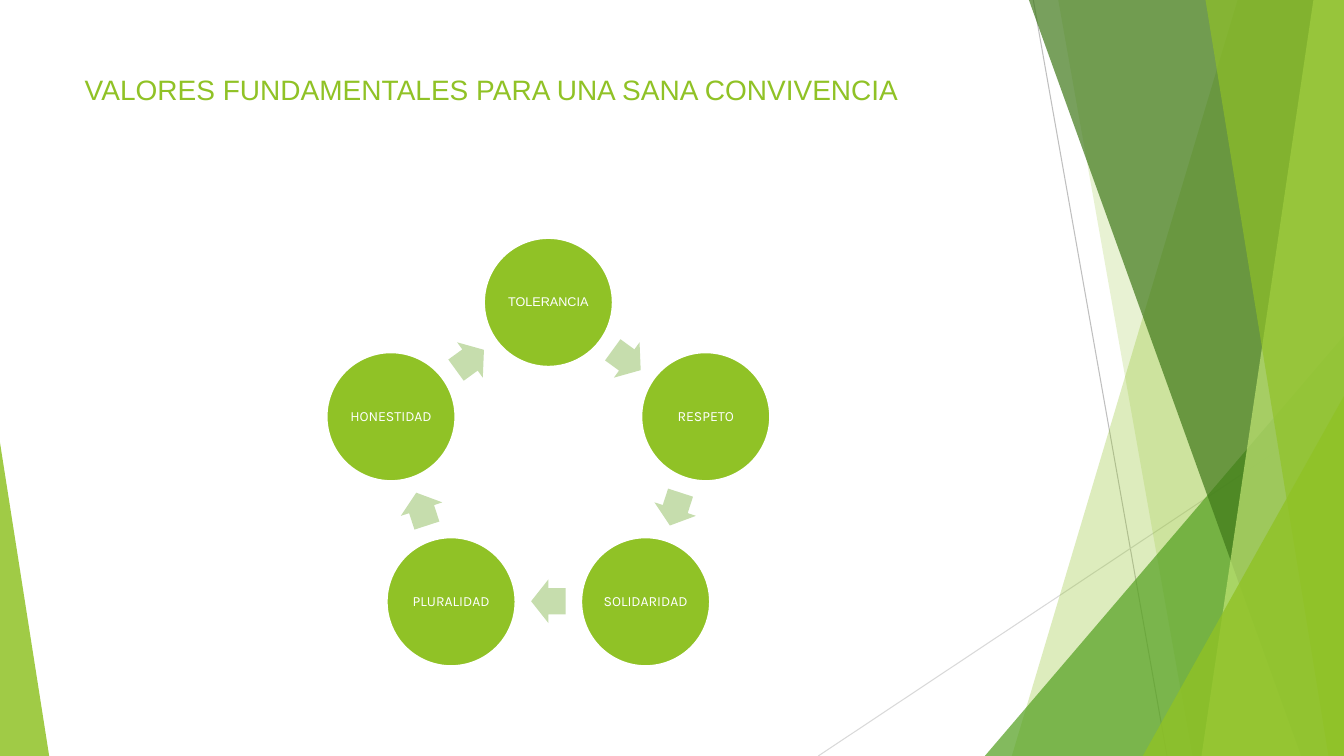
import math
from dataclasses import dataclass

from lxml import etree
from pptx import Presentation
from pptx.dml.color import RGBColor
from pptx.enum.shapes import MSO_CONNECTOR, MSO_SHAPE
from pptx.enum.text import MSO_ANCHOR, PP_ALIGN
from pptx.oxml.ns import qn
from pptx.util import Cm, Pt

STRAIGHT = MSO_CONNECTOR.STRAIGHT
TRIANGLE = MSO_SHAPE.ISOSCELES_TRIANGLE
OVAL = MSO_SHAPE.OVAL
ARROW = MSO_SHAPE.RIGHT_ARROW
MIDDLE, TOP = MSO_ANCHOR.MIDDLE, MSO_ANCHOR.TOP
CENTER, LEFT = PP_ALIGN.CENTER, PP_ALIGN.LEFT

WIDTH, HEIGHT = 33.87, 19.05
GREEN, WHITE, PALE_GREEN = "90C226", "FFFFFF", "C6DDAD"
RING_X, RING_Y, RING_RADIUS = 13.82, 11.79, 4.17
ARROW_RADIUS, ARROW_LENGTH, ARROW_HEIGHT = 3.36, 0.87, 1.1
CIRCLE_SIZE = 3.25


@dataclass
class Ray:
    start: tuple[float, float]
    end: tuple[float, float]
    color: str


@dataclass
class Blade:
    top_left: float
    bottom_left: float
    color: str
    opacity: int


@dataclass
class Wedge:
    left: float
    top: float
    width: float
    tip: float
    color: str
    opacity: int


@dataclass
class Value:
    name: str
    font: str = "Karla"
    size: int = 10


RAYS = [
    Ray((26.04, 0), (29.41, HEIGHT), "BFBFBF"),
    Ray((WIDTH, 10.24), (20.62, HEIGHT), "D9D9D9"),
]
FACETS = [
    Blade(31.19, 25.5, GREEN, 30),
    Blade(26.67, 30.05, GREEN, 20),
    Wedge(24.82, 8.46, 9.05, 1, "54A021", 72),
    Blade(25.93, 32.79, "3F7819", 70),
    Blade(33.1, 30.28, "C0E474", 70),
    Blade(30.38, 33.48, GREEN, 65),
    Wedge(28.8, 9.98, 5.07, 1, GREEN, 80),
    Wedge(0, 11.15, 1.24, 0, GREEN, 85),
]
VALUES = [
    Value("TOLERANCIA", "Arial", 9),
    Value("RESPETO"),
    Value("SOLIDARIDAD"),
    Value("PLURALIDAD"),
    Value("HONESTIDAD"),
]


def paint(color_format, color: str) -> None:
    color_format.rgb = RGBColor.from_string(color)


def fill_shape(shape, color: str, opacity: int = 100) -> None:
    shape.shadow.inherit = False
    shape.fill.solid()
    paint(shape.fill.fore_color, color)
    shape.line.fill.background()
    if opacity < 100:
        tint = shape.fill._xPr.find(qn("a:solidFill"))[0]
        etree.SubElement(tint, qn("a:alpha"), val=str(opacity * 1000))


def write(paragraph, text: str, font: str, size: int, color: str) -> None:
    run = paragraph.add_run()
    run.text = text
    run.font.name = font
    run.font.size = Pt(size)
    paint(run.font.color, color)


def draw_ray(shapes, ray: Ray) -> None:
    line = shapes.add_connector(STRAIGHT, *map(Cm, ray.start + ray.end))
    paint(line.line.color, ray.color)
    line.line.width = Pt(0.75)
    etree.SubElement(line._element.spPr, qn("a:effectLst"))


def draw_blade(shapes, blade: Blade) -> None:
    corners = [(WIDTH, 0), (WIDTH, HEIGHT), (blade.bottom_left, HEIGHT)]
    outline = shapes.build_freeform(Cm(blade.top_left), Cm(0))
    outline.add_line_segments([(Cm(x), Cm(y)) for x, y in corners], close=True)
    fill_shape(outline.convert_to_shape(), blade.color, blade.opacity)


def draw_wedge(shapes, wedge: Wedge) -> None:
    triangle = shapes.add_shape(TRIANGLE, Cm(wedge.left), Cm(wedge.top),
                                Cm(wedge.width), Cm(HEIGHT - wedge.top))
    triangle.adjustments[0] = wedge.tip
    fill_shape(triangle, wedge.color, wedge.opacity)


def add_on_ring(shapes, kind, degrees: float, radius: float,
                width: float, height: float):
    angle = math.radians(degrees)
    x = RING_X + radius * math.sin(angle)
    y = RING_Y - radius * math.cos(angle)
    return shapes.add_shape(kind, Cm(x - width / 2), Cm(y - height / 2),
                            Cm(width), Cm(height))


def draw_value(shapes, value: Value, degrees: float) -> None:
    circle = add_on_ring(shapes, OVAL, degrees, RING_RADIUS,
                         CIRCLE_SIZE, CIRCLE_SIZE)
    fill_shape(circle, GREEN)
    paint(circle.line.color, WHITE)
    circle.line.width = Pt(1.5)
    frame = circle.text_frame
    frame.word_wrap = True
    frame.vertical_anchor = MIDDLE
    frame.margin_left = frame.margin_right = Cm(0.03)
    frame.margin_top = frame.margin_bottom = Cm(0.03)
    label = frame.paragraphs[0]
    label.alignment = CENTER
    label.line_spacing = 0.9
    write(label, value.name, value.font, value.size, WHITE)


def draw_arrow(shapes, degrees: float) -> None:
    arrow = add_on_ring(shapes, ARROW, degrees, ARROW_RADIUS,
                        ARROW_LENGTH, ARROW_HEIGHT)
    arrow.rotation = degrees
    arrow.adjustments[0] = 0.6
    arrow.adjustments[1] = 0.5
    fill_shape(arrow, PALE_GREEN)


def write_title(title) -> None:
    title.left, title.top = Cm(1.88), Cm(1.7)
    title.width, title.height = Cm(23.88), Cm(3.66)
    title.text_frame.word_wrap = True
    title.text_frame.vertical_anchor = TOP
    heading = title.text_frame.paragraphs[0]
    heading.alignment = LEFT
    write(heading, "VALORES FUNDAMENTALES PARA UNA SANA CONVIVENCIA",
          "Arial", 20, GREEN)


def main() -> None:
    deck = Presentation()
    deck.slide_width, deck.slide_height = Cm(WIDTH), Cm(HEIGHT)
    slide = deck.slides.add_slide(deck.slide_layouts[5])
    shapes = slide.shapes
    write_title(shapes.title)
    for ray in RAYS:
        draw_ray(shapes, ray)
    for facet in FACETS:
        if isinstance(facet, Blade):
            draw_blade(shapes, facet)
        else:
            draw_wedge(shapes, facet)
    step = 360 / len(VALUES)
    for index, value in enumerate(VALUES):
        draw_value(shapes, value, index * step)
        draw_arrow(shapes, (index + 0.5) * step)
    deck.save("out.pptx")


if __name__ == "__main__":
    main()
